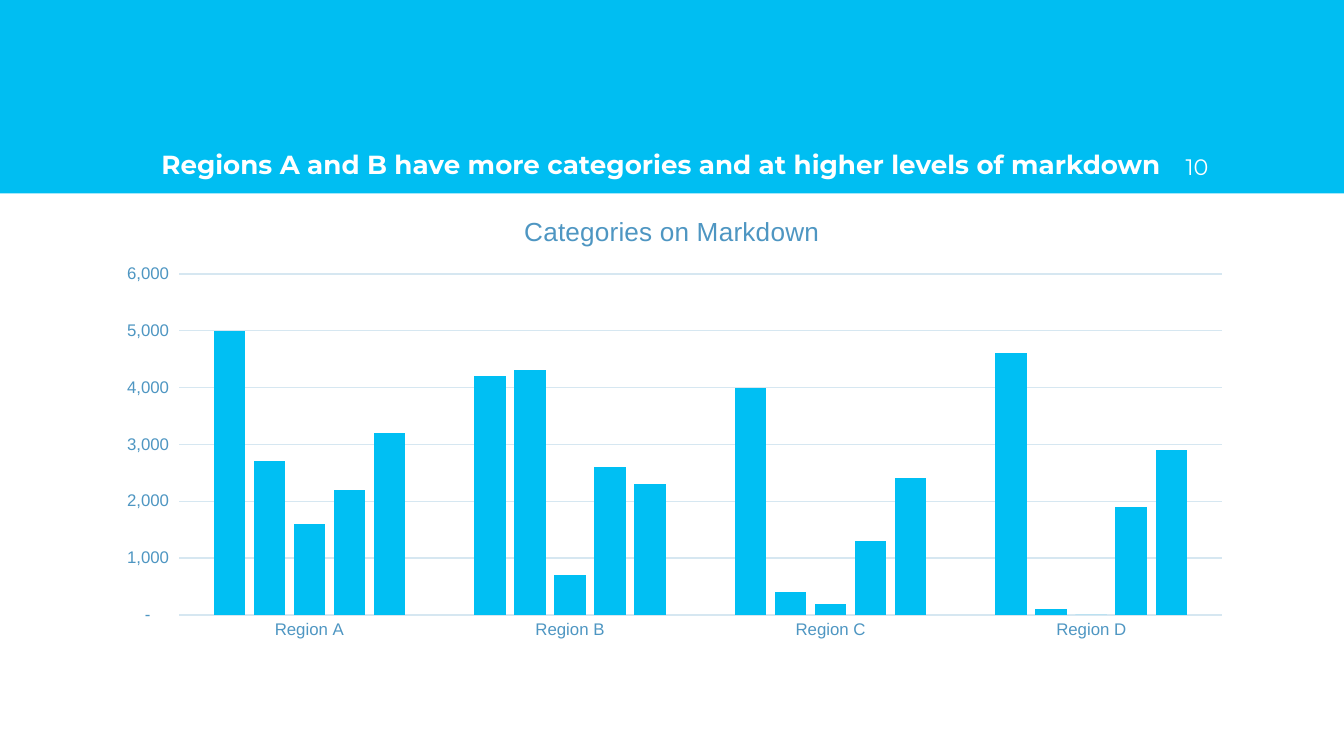
from pptx import Presentation
from pptx.chart.data import CategoryChartData
from pptx.dml.color import RGBColor
from pptx.enum.chart import XL_CHART_TYPE, XL_TICK_MARK
from pptx.enum.shapes import MSO_SHAPE
from pptx.enum.text import MSO_ANCHOR, PP_ALIGN
from pptx.util import Pt

THEME = {
    "band": RGBColor.from_string("00BEF2"),
    "bar": RGBColor.from_string("00BFF3"),
    "label": RGBColor.from_string("4E96C2"),
    "grid": RGBColor.from_string("D6E7F1"),
    "white": RGBColor.from_string("FFFFFF"),
    "heading_font": "Montserrat",
    "chart_font": "Arial",
    "heading_size": Pt(14),
    "number_size": Pt(12),
    "chart_title_size": Pt(14),
    "axis_size": Pt(9),
}
NUMBER_FORMAT = '_-* #,##0_-;\\-* #,##0_-;_-* "-"??_-;_-@_'
REGIONS = ["Region A", "Region B", "Region C", "Region D"]
MARKDOWN_COUNTS = [
    [5000, 4200, 4000, 4600],
    [2700, 4300, 400, 100],
    [1600, 700, 200, 0],
    [2200, 2600, 1300, 1900],
    [3200, 2300, 2400, 2900],
]


def style_font(font, face, size, color, bold=False):
    font.name, font.size, font.bold = face, size, bold
    font.color.rgb = color


def fill_header_text(box, text, left, width, size, align, bold):
    box.left, box.top, box.width, box.height = Pt(left), Pt(51.1), Pt(width), Pt(52.6)
    frame = box.text_frame
    settings = {"text": text, "word_wrap": True, "vertical_anchor": MSO_ANCHOR.BOTTOM}
    settings |= {f"margin_{side}": Pt(7.2) for side in ("left", "top", "right", "bottom")}
    for name, value in settings.items():
        setattr(frame, name, value)
    paragraph = frame.paragraphs[0]
    paragraph.alignment = align
    style_font(paragraph.runs[0].font, THEME["heading_font"], size, THEME["white"], bold)


presentation = Presentation()
presentation.slide_width, presentation.slide_height = Pt(720), Pt(405)
slide = presentation.slides.add_slide(presentation.slide_layouts[5])

# Header band, behind the title
band = slide.shapes.add_shape(MSO_SHAPE.RECTANGLE, Pt(0), Pt(0), Pt(720), Pt(103.7))
band.shadow.inherit = False
band.fill.solid()
band.fill.fore_color.rgb = THEME["band"]
band.line.fill.background()
slide.shapes.title.element.addprevious(band.element)

# Slide number and title
page_number = slide.shapes.add_textbox(Pt(0), Pt(0), Pt(0), Pt(0))
fill_header_text(page_number, "10", 611.3, 43.2, THEME["number_size"], PP_ALIGN.RIGHT, False)
fill_header_text(
    slide.shapes.title,
    "Regions A and B have more categories and at higher levels of markdown",
    79.2, 561.6, THEME["heading_size"], PP_ALIGN.LEFT, True,
)

# Chart of categories by region
counts = CategoryChartData(number_format="#,##0")
counts.categories = REGIONS
for number, values in enumerate(MARKDOWN_COUNTS, start=1):
    counts.add_series(f"Series {number}", values)
chart = slide.shapes.add_chart(
    XL_CHART_TYPE.COLUMN_CLUSTERED, Pt(53.3), Pt(103.7), Pt(613.4), Pt(244), counts
).chart
style_font(chart.font, THEME["chart_font"], THEME["axis_size"], THEME["label"])
chart.has_legend = False
chart.has_title = True
chart_title = chart.chart_title.text_frame
chart_title.text = "Categories on Markdown"
style_font(chart_title.paragraphs[0].runs[0].font, THEME["chart_font"],
           THEME["chart_title_size"], THEME["label"])
chart.chart_title.include_in_layout = False

# Columns
columns = chart.plots[0]
columns.gap_width, columns.overlap, columns.vary_by_categories = 219, -27, False
for series in columns.series:
    series.format.fill.solid()
    series.format.fill.fore_color.rgb = THEME["bar"]
    series.invert_if_negative = False

# Axes and gridlines
region_axis, count_axis = chart.category_axis, chart.value_axis
for axis in (region_axis, count_axis):
    axis.major_tick_mark = axis.minor_tick_mark = XL_TICK_MARK.NONE
    style_font(axis.tick_labels.font, THEME["chart_font"], THEME["axis_size"], THEME["label"])
count_axis.minimum_scale, count_axis.maximum_scale, count_axis.major_unit = 0, 6000, 1000
count_axis.tick_labels.number_format = NUMBER_FORMAT
count_axis.tick_labels.number_format_is_linked = False
count_axis.format.line.fill.background()
for line in (region_axis.format.line, count_axis.major_gridlines.format.line):
    line.color.rgb = THEME["grid"]
    line.width = Pt(0.75)

presentation.save("out.pptx")
